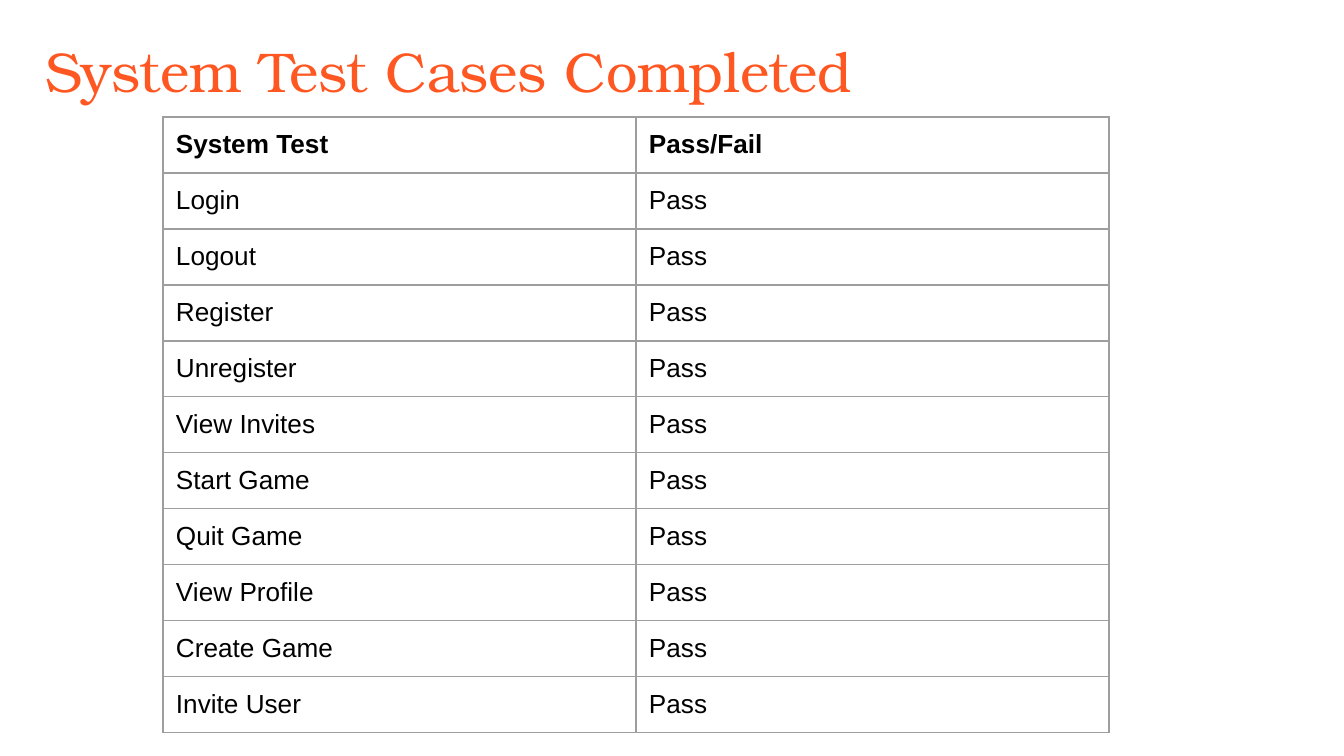
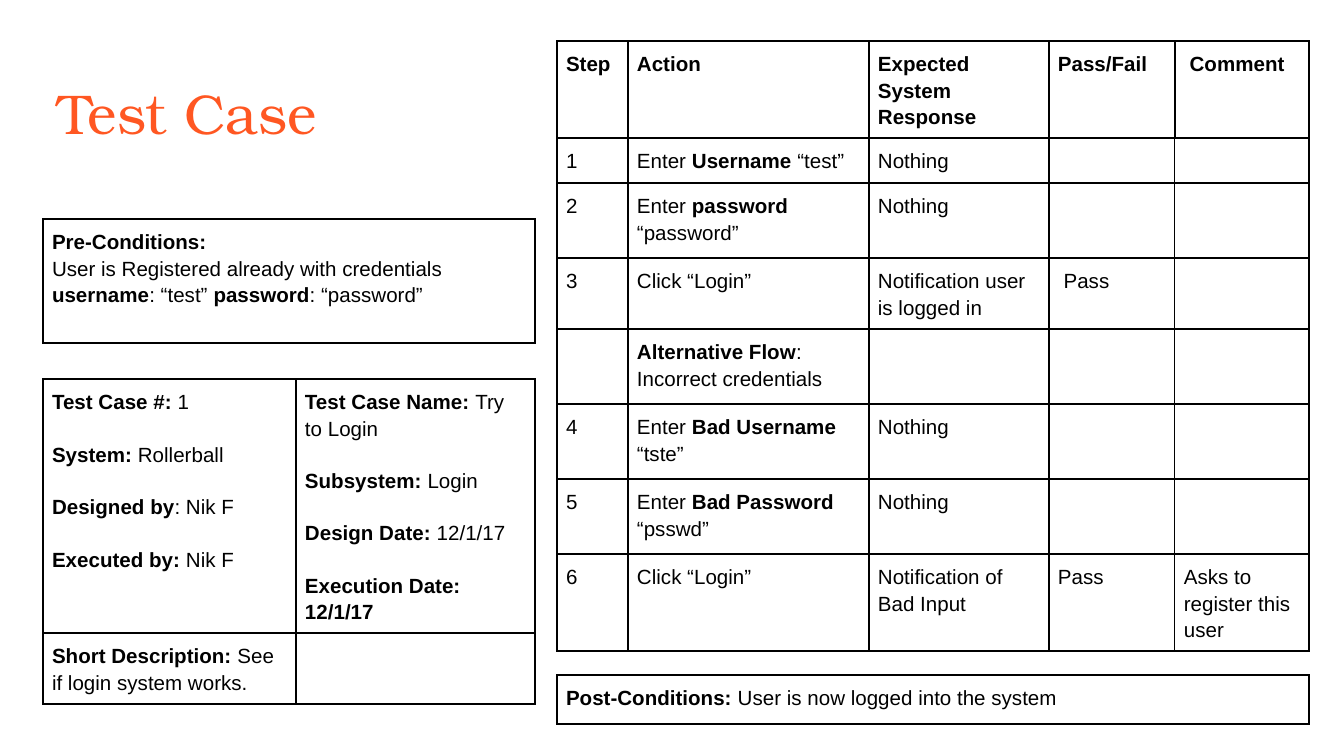
from lxml import etree
from pptx import Presentation
from pptx import util as u
from pptx.dml.color import RGBColor
from pptx.enum import text
from pptx.oxml import ns

PX = u.Inches(10) / 1344
ORANGE = RGBColor(0xFF, 0x57, 0x22)
BLACK = RGBColor(0x00, 0x00, 0x00)
GREY = RGBColor(0x9E, 0x9E, 0x9E)
THIN = 0.75
TITLE_ONLY = 5
TITLE_FONT = {"name": "TeX Gyre Bonum", "size": u.Pt(30), "bold": False}
LIST_STYLE = {"size": 14, "margin": 13, "leading": 1.0, "gap": 0,
              "line": GREY, "weight": THIN}
FORM_STYLE = {"size": 11, "margin": 9, "leading": 1.15, "gap": 0,
              "line": BLACK, "weight": 1}
SPACED_STYLE = {**FORM_STYLE, "gap": 14}

# In cell text, *stars* mark bold words and a newline starts a paragraph.
SYSTEM_TESTS = ["Login", "Logout", "Register", "Unregister", "View Invites",
                "Start Game", "Quit Game", "View Profile", "Create Game",
                "Invite User"]
PRE_CONDITIONS = ("*Pre-Conditions:*\nUser is Registered already with "
                  "credentials *username*: “test” *password*: “password”")
POST_CONDITIONS = "*Post-Conditions: *User is now logged into the system"
CASE_DETAILS = [
    ["*Test Case #: *1\n*System: *Rollerball\n*Designed by*: Nik F\n"
     "*Executed by: *Nik F",
     "*Test Case Name: *Try to Login\n*Subsystem:* Login\n"
     "*Design Date: *12/1/17\n*Execution Date: 12/1/17*"],
    ["*Short Description: *See if login system works.", ""],
]
STEPS = [
    ["*Step*", "*Action*", "*Expected System Response*", "*Pass/Fail*",
     " *Comment*"],
    ["1", "Enter* Username* “test”", "Nothing", "", ""],
    ["2", "Enter* password *“password”", "Nothing", "", ""],
    ["3", "Click “Login”", "Notification user is logged in", " Pass", ""],
    ["", "*Alternative Flow*: Incorrect credentials", "", "", ""],
    ["4", "Enter *Bad Username* “tste”", "Nothing", "", ""],
    ["5", "Enter *Bad Password *“psswd”", "Nothing", "", ""],
    ["6", "Click “Login”", "Notification of Bad Input", "Pass",
     "Asks to register this user"],
]


def px(length):
    return u.Emu(round(length * PX))


def apply(target, values):
    for name, value in values.items():
        setattr(target, name, value)


def add_page(deck, title, left, top):
    page = deck.slides.add_slide(deck.slide_layouts[TITLE_ONLY])
    box = page.shapes.title
    apply(box, {"left": px(left), "top": px(top),
                "width": px(1253), "height": px(85)})
    frame = box.text_frame
    apply(frame, {"text": title, "word_wrap": True,
                  "auto_size": text.MSO_AUTO_SIZE.NONE,
                  "vertical_anchor": text.MSO_ANCHOR.TOP})
    apply(frame, {f"margin_{side}": px(13)
                  for side in ("left", "top", "right", "bottom")})
    para = frame.paragraphs[0]
    para.alignment = text.PP_ALIGN.LEFT
    font = para.runs[0].font
    apply(font, TITLE_FONT)
    font.color.rgb = ORANGE
    return page


def write_cell(cell, words, style):
    apply(cell, {f"margin_{side}": px(style["margin"])
                 for side in ("left", "top", "right", "bottom")})
    cell.vertical_anchor = text.MSO_ANCHOR.TOP
    frame = cell.text_frame
    for index, line in enumerate(words.split("\n")):
        para = frame.add_paragraph() if index else frame.paragraphs[0]
        apply(para, {"line_spacing": style["leading"],
                     "alignment": text.PP_ALIGN.LEFT,
                     "space_before": u.Pt(style["gap"] if index else 0)})
        for order, piece in enumerate(line.split("*")):
            if piece:
                span = para.add_run()
                span.text = piece
                apply(span.font, {"name": "Arial", "bold": order % 2 == 1,
                                  "size": u.Pt(style["size"])})
                span.font.color.rgb = BLACK
        # Keeps empty cells from growing to the default text size.
        etree.SubElement(para._p, ns.qn("a:endParaRPr"),
                         sz=str(style["size"] * 100))


def draw_borders(cell, color, weights):
    """Draw the borders; weights gives points for left, right, top, bottom."""
    props = cell._tc.get_or_add_tcPr()
    for side, weight in zip("LRTB", weights):
        line = etree.SubElement(props, ns.qn(f"a:ln{side}"),
                                w=str(u.Pt(weight)))
        fill = etree.SubElement(line, ns.qn("a:solidFill"))
        etree.SubElement(fill, ns.qn("a:srgbClr"), val=str(color))


def add_grid(page, left, top, widths, heights, rows, style):
    """Add a table whose inner upright lines are thin below the first row."""
    table = page.shapes.add_table(
        len(rows), len(widths), px(left), px(top),
        px(sum(widths)), px(sum(heights))).table
    apply(table, {"first_row": False, "horz_banding": False})
    for column, width in zip(table.columns, widths):
        column.width = px(width)
    last = len(widths) - 1
    weight = style["weight"]
    for r, (row, height) in enumerate(zip(rows, heights)):
        table.rows[r].height = px(height)
        for c, words in enumerate(row):
            cell = table.cell(r, c)
            write_cell(cell, words, style)
            inner = THIN if r else weight
            draw_borders(cell, style["line"],
                         (inner if c else weight,
                          inner if c < last else weight, weight, weight))
            cell.fill.background()


def add_results_page(deck):
    page = add_page(deck, "System Test Cases Completed", 32, 23)
    rows = [["*System Test*", "*Pass/Fail*"]]
    rows += [[name, "Pass"] for name in SYSTEM_TESTS]
    add_grid(page, 163, 117, [473] * 2, [56] * len(rows), rows, LIST_STYLE)


def add_case_summary(page, left, top):
    add_grid(page, left, top, [492], [124], [[PRE_CONDITIONS]], FORM_STYLE)
    add_grid(page, left, top + 160, [253, 239], [254, 71], CASE_DETAILS,
             SPACED_STYLE)


def add_case_steps(page, left, top):
    widths = [71, 241, 180, 126, 134]
    heights = [97, 45, 75, 71, 75, 75, 75, 97]
    add_grid(page, left, top, widths, heights, STEPS, FORM_STYLE)
    add_grid(page, left, top + 634, [sum(widths)], [49],
             [[POST_CONDITIONS]], FORM_STYLE)


def add_case_page(deck):
    page = add_page(deck, "Test Case", 45, 66)
    add_case_summary(page, 43, 219)
    add_case_steps(page, 557, 41)


def main():
    deck = Presentation()
    apply(deck, {"slide_width": px(1344), "slide_height": px(756)})
    add_results_page(deck)
    add_case_page(deck)
    deck.save("out.pptx")


if __name__ == "__main__":
    main()
